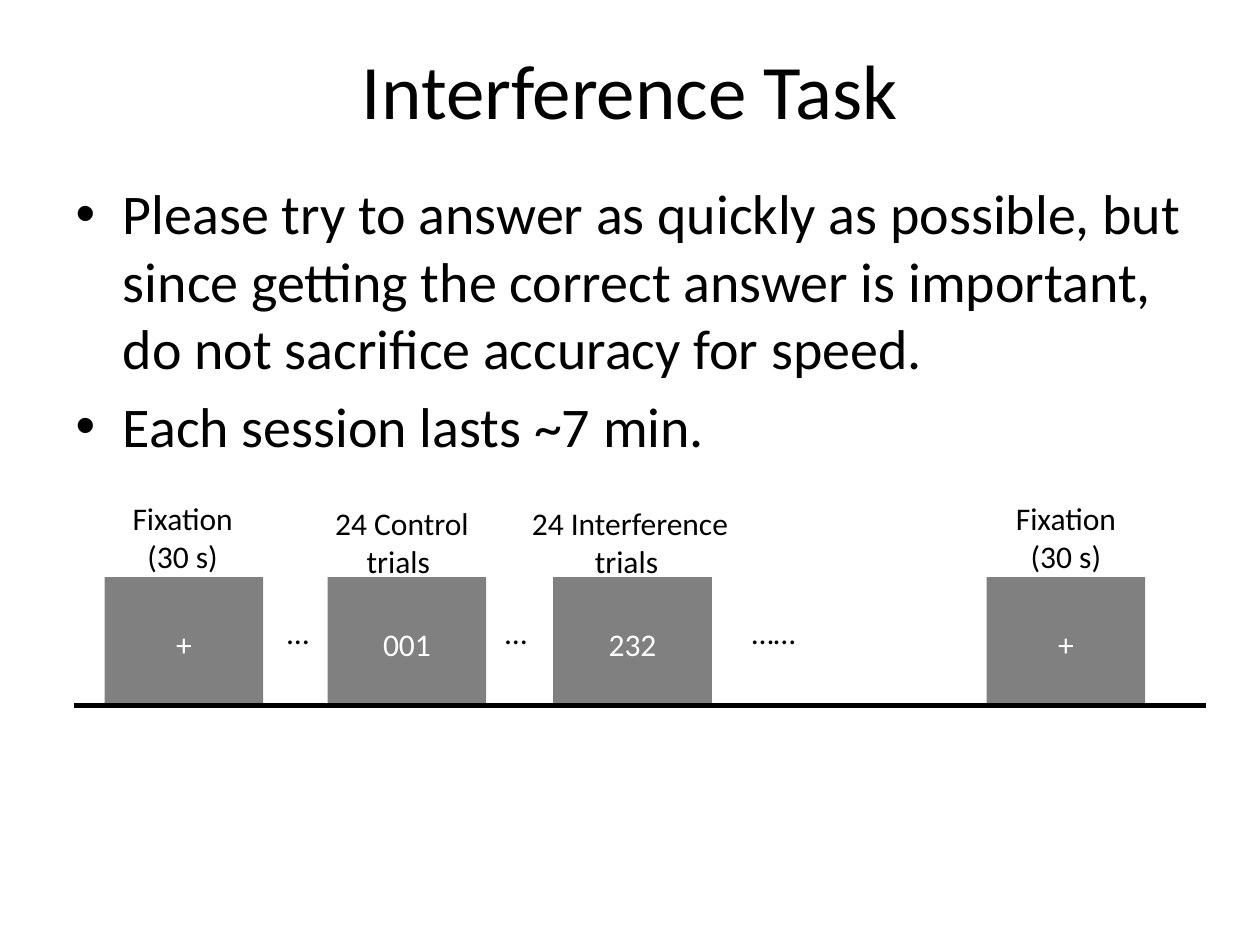
from lxml.etree import SubElement
from pptx import Presentation
from pptx.dml.color import RGBColor
from pptx.enum.shapes import MSO_CONNECTOR, MSO_SHAPE
from pptx.enum.text import MSO_ANCHOR, PP_ALIGN
from pptx.oxml.ns import qn
from pptx.util import Inches, Pt

# Content
COLORS = {"ink": "000000", "block": "808080", "light": "FFFFFF"}
FONT = "Calibri"
TITLE = "Interference Task"
INSTRUCTIONS = [
    "Please try to answer as quickly as possible, but since getting the correct "
    "answer is important, do not sacrifice accuracy for speed.",
    "Each session lasts ~7 min.",
]
# Block left, stimulus, caption, caption centre, caption top, caption width
BLOCKS = [
    (0.83, "+", "Fixation (30 s)", 1.45, 3.91, 1.18),
    (2.60, "001", "24 Control trials ", 3.19, 3.95, 1.42),
    (4.39, "232", "24 Interference trials ", 5.00, 3.95, 1.89),
    (7.83, "+", "Fixation (30 s)", 8.46, 3.91, 1.18),
]
# Text, left, width
GAPS = [("…", 2.09, 0.55), ("…", 3.82, 0.55), ("……", 5.63, 1.02)]

# Timeline measures in inches
BLOCK_W, BLOCK_H, BASELINE = 1.26, 1.02, 5.6
BLOCK_TOP = BASELINE - BLOCK_H
STIMULUS_W, LINE_H, CAPTION_H = 0.79, 0.4, 0.71
LINE_LEFT, LINE_RIGHT = 0.59, 9.57


def color(name):
    return RGBColor.from_string(COLORS[name])


def style(paragraph, size, ink="ink"):
    for run in paragraph.runs:
        run.font.name = FONT
        run.font.size = Pt(size)
        run.font.color.rgb = color(ink)


def place(shape, *box):
    shape.left, shape.top, shape.width, shape.height = map(Inches, box)


def add_label(text, left, top, width, height, ink="ink"):
    frame = slide.shapes.add_textbox(
        *map(Inches, (left, top, width, height))).text_frame
    frame.word_wrap = True
    frame.text = text
    frame.paragraphs[0].alignment = PP_ALIGN.CENTER
    style(frame.paragraphs[0], 18, ink)


prs = Presentation()
prs.slide_width, prs.slide_height = Inches(10), Inches(7.5)
slide = prs.slides.add_slide(prs.slide_layouts[1])

# Title and instructions
title, instructions = slide.placeholders
place(title, 0.5, 0.08, 9, 1.25)
title.text_frame.text = TITLE
title.text_frame.vertical_anchor = MSO_ANCHOR.MIDDLE
title.text_frame.paragraphs[0].alignment = PP_ALIGN.CENTER
style(title.text_frame.paragraphs[0], 44)

place(instructions, 0.5, 1.37, 9, 2.46)
instructions.text_frame.text = "\n".join(INSTRUCTIONS)
for paragraph in instructions.text_frame.paragraphs:
    style(paragraph, 32)

# Blocks with stimulus and caption
for left, stimulus, caption, centre, caption_top, caption_w in BLOCKS:
    block = slide.shapes.add_shape(
        MSO_SHAPE.RECTANGLE, *map(Inches, (left, BLOCK_TOP, BLOCK_W, BLOCK_H)))
    block.shadow.inherit = False
    block.fill.solid()
    block.fill.fore_color.rgb = color("block")
    block.line.fill.background()
    add_label(stimulus, left + (BLOCK_W - STIMULUS_W) / 2, 4.91,
              STIMULUS_W, LINE_H, "light")
    add_label(caption, centre - caption_w / 2, caption_top, caption_w, CAPTION_H)

# Ellipses between blocks
for dots, left, width in GAPS:
    add_label(dots, left, 4.82, width, LINE_H)

# Time axis
axis = slide.shapes.add_connector(
    MSO_CONNECTOR.STRAIGHT,
    *map(Inches, (LINE_LEFT, BASELINE, LINE_RIGHT, BASELINE)))
axis.line.color.rgb = color("ink")
axis.line.width = Pt(2.5)
SubElement(axis._element.spPr, qn("a:effectLst"))

prs.save("out.pptx")
